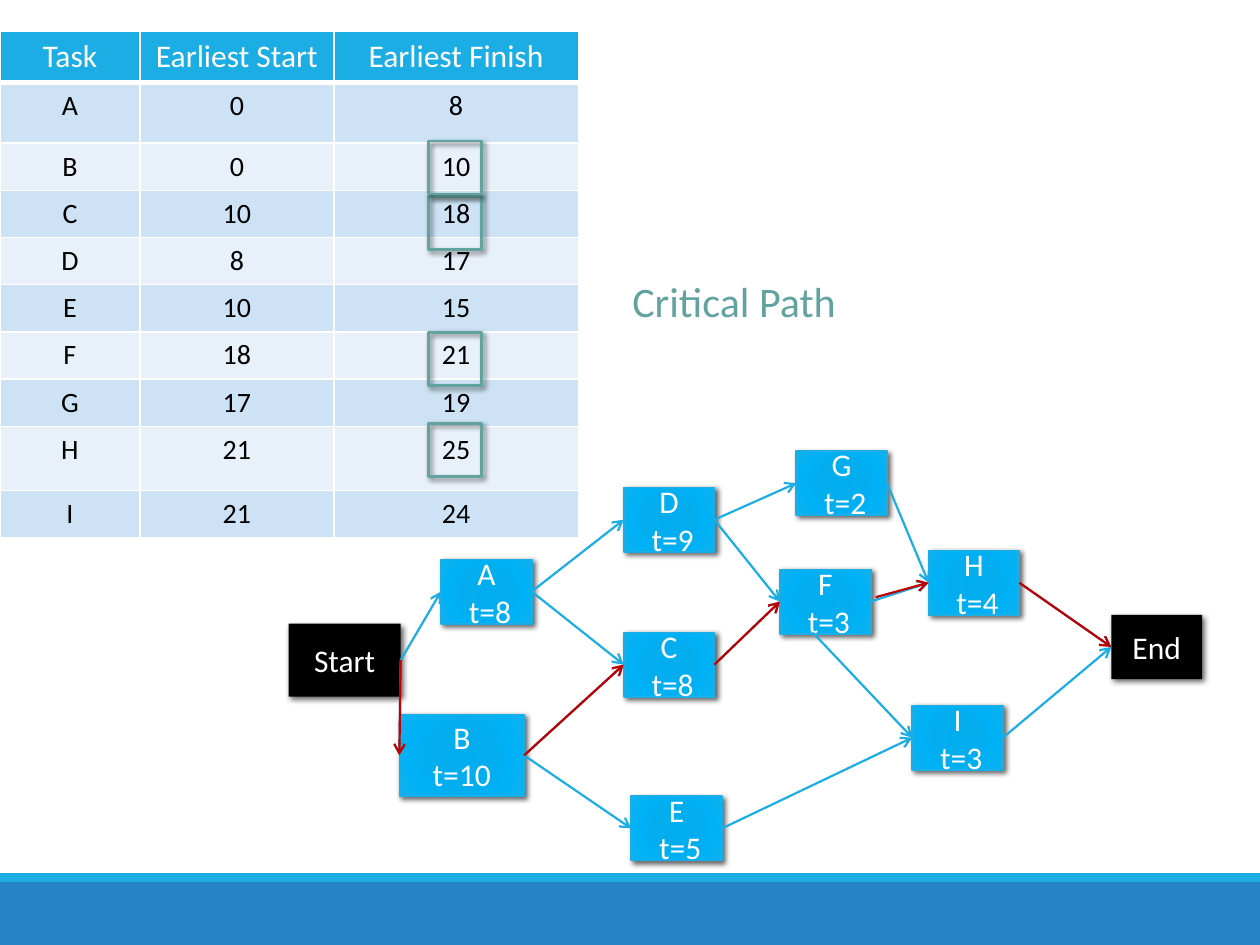
from lxml import etree
from pptx import Presentation
from pptx.dml.color import RGBColor
from pptx.enum.shapes import MSO_CONNECTOR, MSO_SHAPE
from pptx.enum.text import MSO_ANCHOR, PP_ALIGN
from pptx.oxml import parse_xml
from pptx.oxml.ns import nsdecls, qn
from pptx.util import Inches, Pt

RECT = MSO_SHAPE.RECTANGLE
STRAIGHT = MSO_CONNECTOR.STRAIGHT
CENTER = PP_ALIGN.CENTER
MIDDLE = MSO_ANCHOR.MIDDLE
TOP, LEFT, BOTTOM, RIGHT = range(4)

FONT = "Calibri"
COLS, ROWS = 100, 75  # the slide grid, in cells of 0.1 inch
COLORS = {
    "accent": "1CADE4", "band": "2683C6", "white": "FFFFFF", "black": "000000",
    "row_dark": "CDE3F5", "row_light": "E8F1FA", "teal": "62A39F", "critical": "C00000",
}
NODE_STOPS = [(0, "00ADEF"), (34, "03ADEE"), (70, "00B1F5"), (100, "12B1EE")]

HEADERS = ["Task", "Earliest Start", "Earliest Finish"]
SCHEDULE = [
    ("A", 0, 8), ("B", 0, 10), ("C", 10, 18), ("D", 8, 17), ("E", 10, 15),
    ("F", 18, 21), ("G", 17, 19), ("H", 21, 25), ("I", 21, 24),
]
COL_WIDTHS = [11.1, 15.4, 19.4]
ROW_HEIGHTS = {0: 4.05, 1: 4.8, 8: 5.1}
ROW_HEIGHT = 3.75
MARK_TOPS = [31.1, 23.9, 13.1, 8.7]

# name: (left, top) within the network, duration
TASKS = {
    "E": (27.2, 27.4, 5), "A": (12.1, 8.6, 8), "B": (8.8, 20.9, 10),
    "C": (26.6, 14.4, 8), "D": (26.6, 2.9, 9), "F": (39, 9.4, 3),
    "G": (40.3, 0, 2), "H": (50.8, 7.9, 4), "I": (49.5, 20.2, 3),
}
TASK_SIZE = (7.2, 5.1)
WIDE_TASK = (9.9, 6.5)
MILESTONES = {"Start": (0, 13.7, 8.9, 5.8), "End": (65.3, 13, 7.2, 5.1)}
LINKS = ["A C", "B C", "A D", "B E", "D F", "C F", "D G", "G H", "F H", "F I",
         "E I", "Start A", "Start B", "H End", "I End"]
CRITICAL_LINKS = ["Start B", "B C", "C F", "F H", "H End"]
# links that do not begin at the middle of a side
FREE_STARTS = {("F I", "accent"): (41.6, 14.4), ("F H", "critical"): (46.6, 11.6)}


def cells(n):
    return Inches(n / 10)


def rgb(name):
    return RGBColor.from_string(COLORS[name])


def style_text(tf, size, color, align=None):
    for p in tf.paragraphs:
        p.alignment = align
        for r in p.runs:
            r.font.name, r.font.size, r.font.bold = FONT, Pt(size), False
            r.font.color.rgb = rgb(color)


def add_rect(slide, box, fill=None, line=None, width=1):
    sp = slide.shapes.add_shape(RECT, *map(cells, box))
    sp.shadow.inherit = False
    if fill:
        sp.fill.solid()
        sp.fill.fore_color.rgb = rgb(fill)
    else:
        sp.fill.background()
    if line:
        sp.line.color.rgb, sp.line.width = rgb(line), Pt(width)
    else:
        sp.line.fill.background()
    return sp


def add_shadow(sp, blur=3):
    effects = sp._element.spPr.find(qn("a:effectLst"))
    effects.append(parse_xml(
        f'<a:outerShdw {nsdecls("a")} blurRad="{Pt(blur)}" dist="{Pt(2)}" dir="2700000"'
        f' algn="tl" rotWithShape="0"><a:srgbClr val="{COLORS["black"]}">'
        '<a:alpha val="60000"/></a:srgbClr></a:outerShdw>'))


def radial_fill(sp):
    stops = "".join(f'<a:gs pos="{pos * 1000}"><a:srgbClr val="{c}"/></a:gs>'
                    for pos, c in NODE_STOPS)
    spPr = sp._element.spPr
    spPr.replace(spPr.find(qn("a:solidFill")), parse_xml(
        f'<a:gradFill {nsdecls("a")} rotWithShape="1"><a:gsLst>{stops}</a:gsLst>'
        '<a:path path="circle"><a:fillToRect l="100000" t="100000" r="100000"'
        ' b="100000"/></a:path></a:gradFill>'))


def add_node(slide, box, text, milestone=False):
    sp = add_rect(slide, box, "black" if milestone else "accent",
                  None if milestone else "accent")
    add_shadow(sp, 3.5 if milestone else 3)
    if not milestone:
        radial_fill(sp)
    tf = sp.text_frame
    tf.text, tf.word_wrap, tf.vertical_anchor = text, True, MIDDLE
    style_text(tf, 18, "white", CENTER)
    return sp


def add_arrow(slide, start, source, target, color):
    """Join source to target, from its right side or from a free start point."""
    x, y = map(cells, start or (0, 0))
    c = slide.shapes.add_connector(STRAIGHT, x, y, x, y)
    if not start:
        c.begin_connect(source, RIGHT)
    c.end_connect(target, LEFT)
    c.line.color.rgb, c.line.width = rgb(color), Pt(1.25)
    etree.SubElement(c.line._get_or_add_ln(), qn("a:tailEnd"), type="arrow")
    etree.SubElement(c._element.spPr, qn("a:effectLst"))


def draw_footer(slide, box):
    x, y, w, h = box
    strip = 0.7
    add_rect(slide, (x, y + strip, w, h - strip), "band")
    add_rect(slide, (x, y, w, strip), "accent")


def set_borders(cell, header):
    tcPr = cell._tc.get_or_add_tcPr()
    for i, side in enumerate("LRTB"):
        width = Pt(3 if header and side == "B" else 1)
        tcPr.insert(i, parse_xml(
            f'<a:ln{side} {nsdecls("a")} w="{width}"><a:solidFill><a:srgbClr'
            f' val="{COLORS["white"]}"/></a:solidFill></a:ln{side}>'))


def draw_schedule(slide, box):
    rows = [HEADERS, *SCHEDULE]
    table = slide.shapes.add_table(len(rows), len(HEADERS), *map(cells, box)).table
    for col, width in zip(table.columns, COL_WIDTHS):
        col.width = cells(width)
    for i, values in enumerate(rows):
        table.rows[i].height = cells(ROW_HEIGHTS.get(i, ROW_HEIGHT))
        fill = "accent" if i == 0 else "row_dark" if i % 2 else "row_light"
        for j, value in enumerate(values):
            cell = table.cell(i, j)
            cell.text = str(value)
            cell.fill.solid()
            cell.fill.fore_color.rgb = rgb(fill)
            set_borders(cell, i == 0)
            style_text(cell.text_frame, 16 if i else 18, "black" if i else "white", CENTER)


def draw_critical_marks(slide, box):
    """Frame the finish times of the critical tasks in the schedule."""
    x, y = box[:2]
    for top in MARK_TOPS:
        add_shadow(add_rect(slide, (x + 34, y + top, 4.2, 4.2), line="teal", width=1.5))


def draw_network(slide, box):
    x, y = box[:2]
    nodes = {}
    for name, (dx, dy, time) in TASKS.items():
        wide = time >= 10
        size = WIDE_TASK if wide else TASK_SIZE
        text = f"{name}\n{'' if wide else ' '}t={time}"
        nodes[name] = add_node(slide, (x + dx, y + dy, *size), text)
    for name, (dx, dy, w, h) in MILESTONES.items():
        nodes[name] = add_node(slide, (x + dx, y + dy, w, h), name, True)
    for links, color in ((LINKS, "accent"), (CRITICAL_LINKS, "critical")):
        for link in links:
            source, target = link.split()
            free = FREE_STARTS.get((link, color))
            start = free and (x + free[0], y + free[1])
            add_arrow(slide, start, nodes[source], nodes[target], color)


def draw_caption(slide, box):
    tf = slide.shapes.add_textbox(*map(cells, box)).text_frame
    tf.word_wrap = True
    tf.text = "Critical Path"
    style_text(tf, 24, "teal")


def main():
    prs = Presentation()
    prs.slide_width, prs.slide_height = cells(COLS), cells(ROWS)
    slide = prs.slides.add_slide(prs.slide_layouts[6])
    schedule = (0, 2.5, sum(COL_WIDTHS), 40.1)
    draw_footer(slide, (0, 69.3, COLS, 5.7))
    draw_schedule(slide, schedule)
    draw_critical_marks(slide, schedule)
    draw_network(slide, (22.9, 35.8, 72.5, 32.5))
    draw_caption(slide, (49.2, 21.4, 20.8, 9.1))
    prs.save("out.pptx")


if __name__ == "__main__":
    main()
